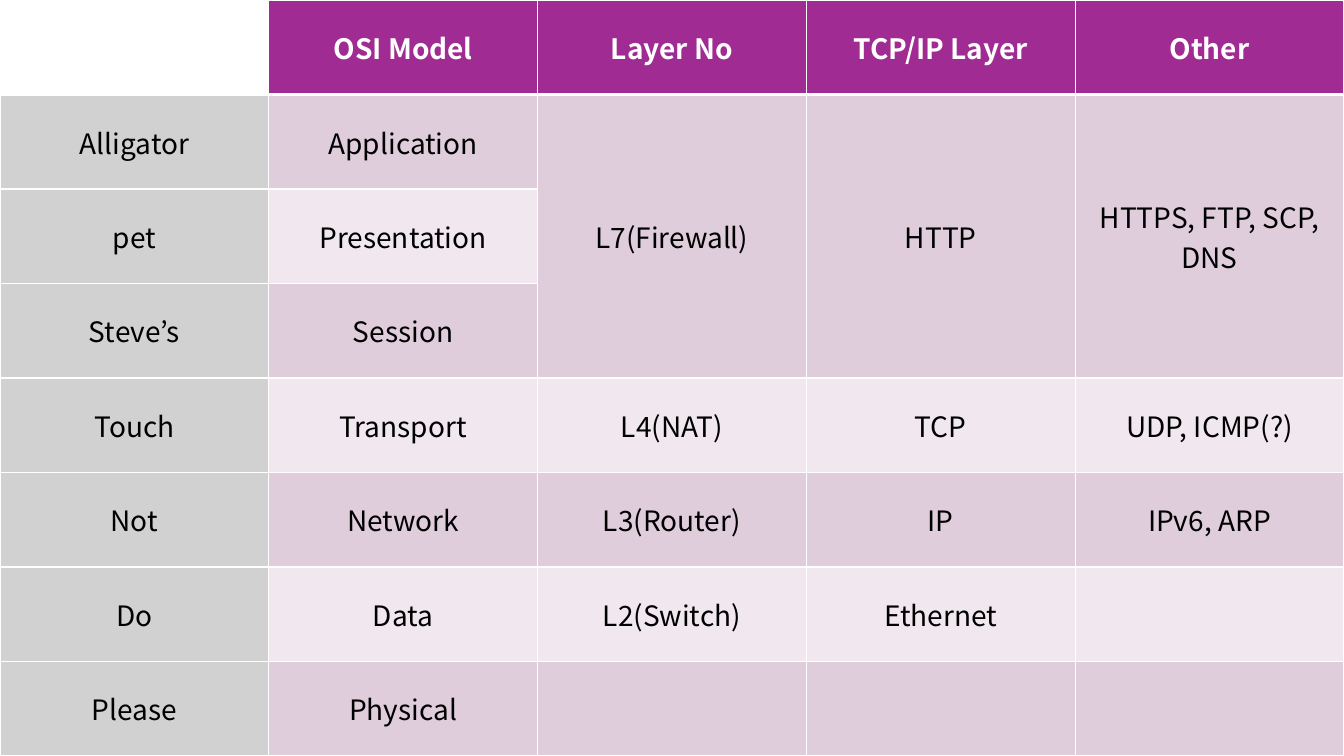
from dataclasses import dataclass

from lxml import etree
from pptx import Presentation
from pptx import util as u
from pptx.dml.color import RGBColor
from pptx.enum import text
from pptx.oxml import ns


@dataclass(frozen=True)
class Theme:
    """Colours, type and line widths of the slide."""
    font: str = "Noto Sans CJK KR"
    size: int = 20
    white: str = "FFFFFF"
    black: str = "000000"
    head: str = "A02B93"
    side: str = "D1D1D1"
    bands: tuple = ("F0E8EE", "DFCDDC")
    thin: int = 1
    thick: int = 3


THEME = Theme()
ROWS = (
    ("", "OSI Model", "Layer No", "TCP/IP Layer", "Other"),
    ("Alligator", "Application", "L7(Firewall)", "HTTP", "HTTPS, FTP, SCP, DNS"),
    ("pet", "Presentation", "", "", ""),
    ("Steve’s", "Session", "", "", ""),
    ("Touch", "Transport", "L4(NAT)", "TCP", "UDP, ICMP(?)"),
    ("Not", "Network", "L3(Router)", "IP", "IPv6, ARP"),
    ("Do", "Data", "L2(Switch)", "Ethernet", ""),
    ("Please", "Physical", "", "", ""),
)


def tint(row, col):
    """Return the fill for a place in the grid."""
    if row == 0:
        return THEME.head if col else THEME.white
    return THEME.bands[row % 2] if col else THEME.side


def rule(cell, row):
    """Draw white rules round a cell, thick below the header."""
    heavy = {(0, "lnB"), (1, "lnT")}
    for side in ("lnL", "lnR", "lnT", "lnB"):
        width = THEME.thick if (row, side) in heavy else THEME.thin
        line = etree.SubElement(cell._tc.get_or_add_tcPr(), ns.qn(f"a:{side}"),
                                w=str(u.Pt(width)))
        fill = etree.SubElement(line, ns.qn("a:solidFill"))
        etree.SubElement(fill, ns.qn("a:srgbClr"), val=THEME.white)


def style(cell, words, row, col):
    """Fill one cell and set its words in the middle."""
    rule(cell, row)
    cell.fill.solid()
    cell.fill.fore_color.rgb = RGBColor.from_string(tint(row, col))
    cell.vertical_anchor = text.MSO_ANCHOR.MIDDLE
    cell.margin_left = cell.margin_right = u.Inches(0.08)
    cell.margin_top = cell.margin_bottom = u.Inches(0.04)
    cell.text = words
    para = cell.text_frame.paragraphs[0]
    para.alignment = text.PP_ALIGN.CENTER
    font = para.font
    font.name, font.size, font.bold = THEME.font, u.Pt(THEME.size), row == 0
    font.color.rgb = RGBColor.from_string(THEME.black if row else THEME.white)


def grid(slide, rows, width, height):
    """Add a table of equal cells over the whole slide."""
    frame = slide.shapes.add_table(len(rows), len(rows[0]), 0, 0, width, height)
    table = frame.table
    for r, row in enumerate(rows):
        for c, words in enumerate(row):
            style(table.cell(r, c), words, r, c)
    return table


def main():
    """Build the slide and save it."""
    deck = Presentation()
    deck.slide_width, deck.slide_height = u.Inches(13.33), u.Inches(7.5)
    slide = deck.slides.add_slide(deck.slide_layouts[6])
    table = grid(slide, ROWS, deck.slide_width, deck.slide_height)
    for col in range(2, len(ROWS[0])):
        table.cell(1, col).merge(table.cell(3, col))
    deck.save("out.pptx")


if __name__ == "__main__":
    main()
